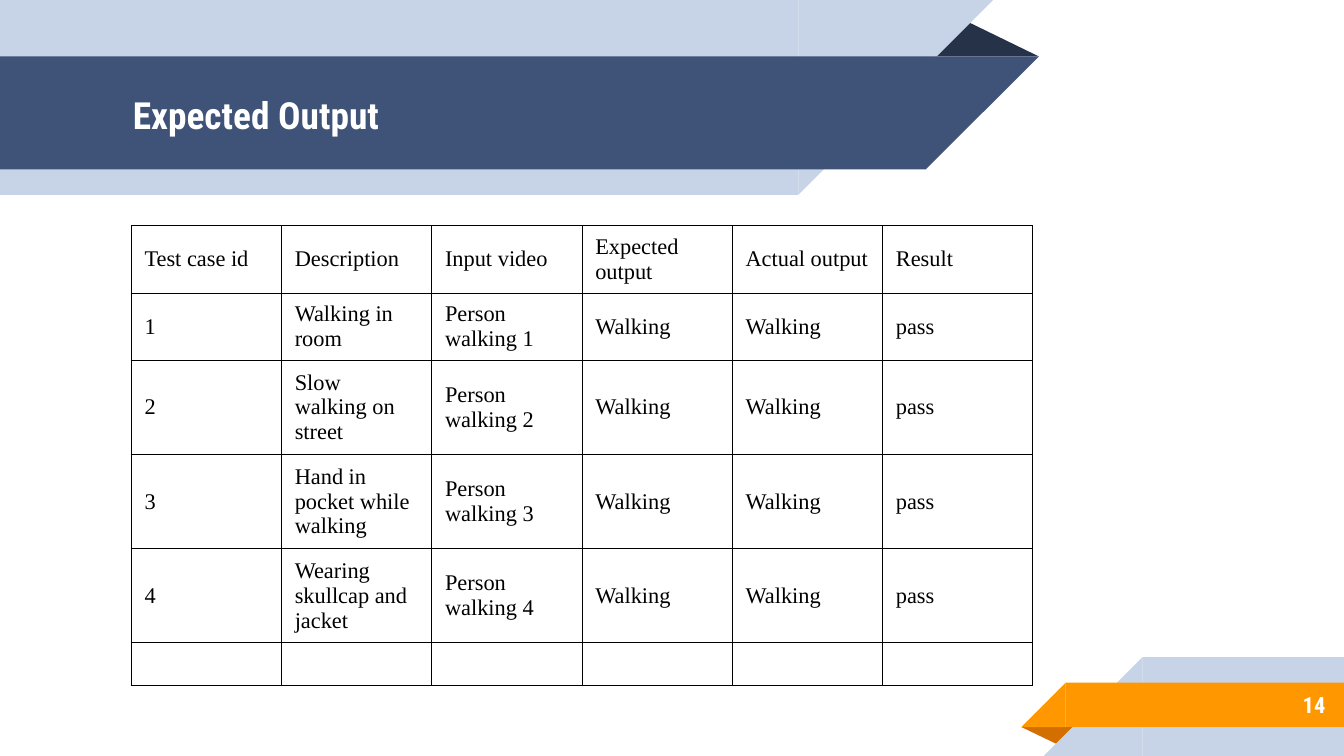
import pptx
import pptx.util
import pptx.dml.color
import pptx.enum.shapes
import pptx.enum.text
import pptx.oxml.ns
from lxml import etree

COLORS = {
    "white": "FFFFFF", "black": "000000", "pale": "C7D3E6", "navy": "3F5378",
    "shade": "263248", "orange": "FF9800", "rust": "D26F00",
}
COLUMNS, ROWS = 100, 56.25  # grid of the slide, one step is 0.1 inch
STEP = 0.1
RECT = pptx.enum.shapes.MSO_SHAPE.RECTANGLE
CORNER = pptx.enum.shapes.MSO_SHAPE.RIGHT_TRIANGLE
FOLD = pptx.enum.shapes.MSO_SHAPE.ISOSCELES_TRIANGLE
MIDDLE = pptx.enum.text.MSO_ANCHOR.MIDDLE
LEFT, RIGHT = pptx.enum.text.PP_ALIGN.LEFT, pptx.enum.text.PP_ALIGN.RIGHT


def grid(steps):
    return pptx.util.Inches(steps * STEP)


def rgb(name):
    return pptx.dml.color.RGBColor.from_string(COLORS[name])


def write(frame, text, size=12, font="Roboto Condensed", color="white",
          bold=False, align=LEFT):
    paragraph = frame.paragraphs[0]
    paragraph.alignment = align
    if not text:  # an empty line still needs its size
        etree.SubElement(paragraph._p, pptx.oxml.ns.qn("a:endParaRPr"), sz=str(size * 100))
        return
    run = paragraph.add_run()
    run.text = text
    run.font.size = pptx.util.Pt(size)
    run.font.name = font
    run.font.bold = bold
    run.font.color.rgb = rgb(color)


class Deck:
    """Holds the slide in work and draws each kind of element on it."""

    def __init__(self):
        self.file = pptx.Presentation()
        self.file.slide_width, self.file.slide_height = grid(COLUMNS), grid(ROWS)
        self.slide = self.file.slides.add_slide(self.file.slide_layouts[6])

    def shape(self, kind, x, y, width, height, color, flip=None, turn=0):
        part = self.slide.shapes.add_shape(kind, *map(grid, (x, y, width, height)))
        part.shadow.inherit = False
        part.fill.solid()
        part.fill.fore_color.rgb = rgb(color)
        part.line.fill.background()
        part.rotation = turn
        if flip:
            part._element.spPr.xfrm.set(flip, "1")
        return part

    def fold(self, x, y, width, height, color, turn=0):
        self.shape(FOLD, x, y, width, height, color, turn=turn).adjustments[0] = 0.324

    def top_band(self, y, width, height, color):
        """Band from the left edge, with its right end cut back downwards."""
        self.shape(RECT, 0, y, width, height, color)
        self.shape(CORNER, width, y, height, height, color, flip="flipV")

    def bottom_band(self, x, y, height, color):
        """Band to the right edge, with its left end cut back upwards."""
        self.shape(RECT, x, y, COLUMNS - x, height, color)
        self.shape(CORNER, x - height, y, height, height, color, flip="flipH")

    def text(self, text, x, y, width, height, **style):
        frame = self.slide.shapes.add_textbox(*map(grid, (x, y, width, height))).text_frame
        frame.word_wrap = True
        frame.vertical_anchor = MIDDLE
        frame.margin_left = frame.margin_right = grid(1)
        frame.margin_top = frame.margin_bottom = grid(1)
        write(frame, text, **style)

    def border(self, cell):
        properties = cell._tc.get_or_add_tcPr()
        for position, side in enumerate(("lnL", "lnR", "lnT", "lnB")):
            line = etree.Element(pptx.oxml.ns.qn("a:" + side), w=str(pptx.util.Pt(0.48)))
            fill = etree.SubElement(line, pptx.oxml.ns.qn("a:solidFill"))
            etree.SubElement(fill, pptx.oxml.ns.qn("a:srgbClr"), val=COLORS["black"])
            properties.insert(position, line)

    def table(self, records, x, y, width, heights):
        count = len(records[0])
        table = self.slide.shapes.add_table(
            len(records), count, *map(grid, (x, y, width, sum(heights)))).table
        for column in table.columns:
            column.width = grid(width / count)
        for row, height, record in zip(table.rows, heights, records):
            row.height = grid(height)
            for cell, value in zip(row.cells, record):
                cell.fill.solid()
                cell.fill.fore_color.rgb = rgb("white")
                cell.vertical_anchor = MIDDLE
                self.border(cell)
                write(cell.text_frame, value, font="Times New Roman", color="black")


def main():
    deck = Deck()

    # Title ribbon
    deck.fold(68.8, 1.4, 8.5, 2.8, "shade")
    deck.top_band(0, 59.4, 14.5, "pale")
    deck.top_band(4.2, 68.9, 8.4, "navy")

    # Page number ribbon
    deck.fold(76, 54.1, 4.3, 1.4, "rust", turn=180)
    deck.bottom_band(85, 48.9, 7.35, "pale")
    deck.bottom_band(79.3, 50.8, 3.3, "orange")

    # Title and page number
    deck.text("Expected Output", 8.9, 4.3, 57.5, 8.4, size=20, bold=True)
    deck.text("14", 83.3, 50.7, 16.3, 3.5, bold=True, align=RIGHT)

    # Test cases
    descriptions = ["Walking in room", "Slow walking on street",
                    "Hand in pocket while walking", "Wearing skullcap and jacket"]
    records = [["Test case id", "Description", "Input video",
                "Expected output", "Actual output", "Result"]]
    for number, description in enumerate(descriptions, 1):
        records.append([str(number), description, f"Person walking {number}",
                        "Walking", "Walking", "pass"])
    records.append([""] * 6)
    deck.table(records, 9.75, 16.8, 67.1, [4.7, 4.7, 6.55, 6.55, 6.55, 3.2])

    deck.file.save("out.pptx")


if __name__ == "__main__":
    main()
